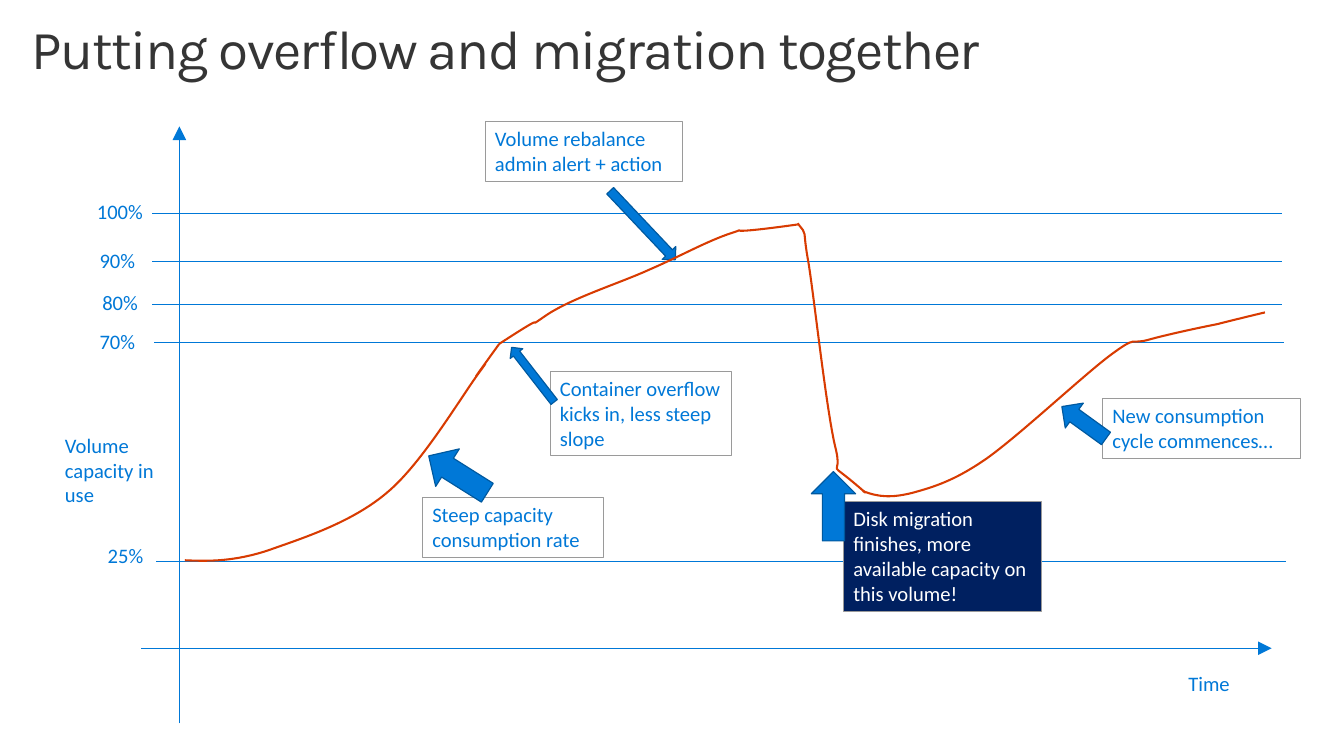
"""Build a slide showing volume capacity over time with overflow and migration."""
import lxml.etree
import pptx
import pptx.dml.color
import pptx.enum.shapes
import pptx.enum.text
import pptx.oxml.ns
import pptx.util

Cm, Pt = pptx.util.Cm, pptx.util.Pt
RGB = pptx.dml.color.RGBColor.from_string
SHAPE = pptx.enum.shapes.MSO_SHAPE
FIT = pptx.enum.text.MSO_AUTO_SIZE
qn = pptx.oxml.ns.qn

THEME = {
    "title": {"name": "Karla", "size": Pt(40), "color": "353535"},
    "body": {"name": "Calibri", "size": Pt(15), "color": "0078D7"},
    "inverse": {"name": "Calibri", "size": Pt(15), "color": "FFFFFF"},
    "axis": ("0078D7", 0.75),
    "box": ("9A9A9A", 0.75),
    "arrow": ("00599F", 0.85),
    "curve": ("D83B01", 1.5),
    "arrow_fill": "0078D7",
    "dark_fill": "002060",
}

TITLE = ("Putting overflow and migration together", (0.41, 0.32, 33.02, 2.54))
AXIS_NAMES = [
    ("Volume capacity in use", (1.42, 11, 3.05, 2.18)),
    ("Time", (30.29, 17.12, 2.16, 0.89)),
]
AXES = [((4.61, 18.59), (4.61, 3.25)), ((3.63, 16.66), (32.68, 16.66))]

LEVEL_LENGTH = 29.04
LEVELS = [
    ("100%", (2.24, 4.98, 1.7, 0.89), (3.91, 5.49)),
    ("90%", (2.31, 6.25, 1.45, 0.89), (3.91, 6.73)),
    ("80%", (2.38, 7.33, 1.45, 0.89), (3.91, 7.82)),
    ("70%", (2.31, 8.33, 1.45, 0.89), (3.96, 8.8)),
    ("25%", (2.52, 13.82, 1.45, 0.89), (4.01, 14.43)),
]

CALLOUTS = [
    ("Steep capacity consumption rate", (10.86, 12.78, 4.65, 1.54), None,
     (11.2, 11.3, 1.14, 1.78), 122.2),
    ("Container overflow kicks in, less steep slope", (14.14, 9.54, 4.65, 2.18), None,
     (13.49, 8.74, 0.41, 1.78), 142.1),
    ("Volume rebalance admin alert + action", (12.47, 3.12, 5.08, 1.54), None,
     (16.28, 4.57, 0.48, 2.44), 316.6),
    ("New consumption cycle commences…", (28.34, 10.24, 5.08, 1.54), None,
     (27.46, 10.16, 0.79, 1.4), 125.9),
    ("Disk migration finishes, more available capacity on this volume!",
     (21.68, 12.89, 5.08, 2.82), THEME["dark_fill"], (20.85, 12.12, 1.14, 1.78), 180),
]

FILLING = [
    (4.75, 14.4), (5.38, 14.43), (6.02, 14.43), (6.88, 14.15),
    (7.75, 13.84), (9.04, 13.44), (9.96, 12.65),
    (10.87, 11.89), (11.89, 10.13), (12.37, 9.5),
    (12.83, 8.86), (11.53, 10.64), (12.83, 8.84)]
OVERFLOW = [
    (12.83, 8.84), (14.35, 7.85), (13.34, 8.59), (14, 8.13),
    (14.66, 7.67), (15.9, 7.29), (16.69, 6.93),
    (17.5, 6.58), (18.16, 6.2), (18.8, 5.99),
    (19.43, 5.79), (18.14, 6.1), (20.5, 5.77)]
MIGRATION = [
    (20.5, 5.74), (20.78, 6.1), (20.6, 5.79), (20.78, 6.76),
    (20.93, 7.7), (21.23, 10.46), (21.46, 11.46),
    (21.72, 12.45), (21.06, 11.63), (22.25, 12.67)]
NEW_CYCLE = [
    (22.17, 12.62), (22.58, 12.78), (22.91, 12.8), (23.44, 12.67),
    (23.98, 12.52), (24.51, 12.37), (25.35, 11.79),
    (26.21, 11.18), (27.86, 9.63), (28.55, 9.12),
    (29.24, 8.61), (29.03, 8.86), (29.49, 8.74),
    (29.95, 8.61), (30.78, 8.43), (31.29, 8.33),
    (31.8, 8.2), (32.51, 8.03), (32.51, 8.03)]
CURVES = [FILLING, OVERFLOW, MIGRATION, NEW_CYCLE]


def cms(values):
    return [Cm(v) for v in values]


def set_line(sp, style):
    color, width = style
    sp.line.color.rgb = RGB(color)
    sp.line.width = Pt(width)


def set_fill(sp, color):
    if color:
        sp.fill.solid()
        sp.fill.fore_color.rgb = RGB(color)
    else:
        sp.fill.background()


def write(sp, text, style, wrap=True, fit=FIT.SHAPE_TO_FIT_TEXT):
    tf = sp.text_frame
    frame = {"word_wrap": wrap, "auto_size": fit,
             "vertical_anchor": pptx.enum.text.MSO_ANCHOR.TOP}
    for name, value in frame.items():
        setattr(tf, name, value)
    p = tf.paragraphs[0]
    p.alignment = pptx.enum.text.PP_ALIGN.LEFT
    r = p.add_run()
    r.text = text
    for name in ("name", "size"):
        setattr(r.font, name, style[name])
    r.font.color.rgb = RGB(style["color"])
    return p, r


def add_label(shapes, text, box, wrap=True):
    write(shapes.add_textbox(*cms(box)), text, THEME["body"], wrap)


def add_title(shapes):
    text, box = TITLE
    sp = shapes.add_textbox(*cms(box))
    p, r = write(sp, text, THEME["title"], fit=FIT.NONE)
    p.line_spacing = 0.9
    r.font._element.set("spc", "-105")
    margins = {"margin_left": 0.41, "margin_right": 0.41,
               "margin_top": 0.25, "margin_bottom": 0.25}
    for name, value in margins.items():
        setattr(sp.text_frame, name, Cm(value))


def add_rule(shapes, start, end, arrow=False):
    sp = shapes.add_connector(pptx.enum.shapes.MSO_CONNECTOR.STRAIGHT, *cms(start + end))
    set_line(sp, THEME["axis"])
    if arrow:
        lxml.etree.SubElement(sp.line._get_or_add_ln(), qn("a:tailEnd"),
                              type="triangle", w="lg", len="lg")
    lxml.etree.SubElement(sp._element.spPr, qn("a:effectLst"))


def add_block(shapes, kind, box, fill, line):
    sp = shapes.add_shape(kind, *cms(box))
    sp.shadow.inherit = False
    set_fill(sp, fill)
    set_line(sp, line)
    return sp


def add_callout(shapes, text, box, fill, arrow_box, rotation):
    sp = add_block(shapes, SHAPE.RECTANGLE, box, fill, THEME["box"])
    write(sp, text, THEME["inverse" if fill else "body"])
    arrow = add_block(shapes, SHAPE.DOWN_ARROW, arrow_box, THEME["arrow_fill"], THEME["arrow"])
    arrow.rotation = rotation


def add_curve(shapes, points):
    builder = shapes.build_freeform(*cms(points[0]))
    builder.add_line_segments([cms(point) for point in points[3::3]], close=False)
    sp = builder.convert_to_shape()
    sp.shadow.inherit = False
    set_fill(sp, None)
    set_line(sp, THEME["curve"])
    segments = list(sp._element.iter(qn("a:lnTo")))
    for i, segment in enumerate(segments):
        bend = lxml.etree.Element(qn("a:cubicBezTo"))
        for x, y in points[3 * i + 1:3 * i + 4]:
            lxml.etree.SubElement(bend, qn("a:pt"), x=str(Cm(x) - sp.left), y=str(Cm(y) - sp.top))
        segment.getparent().replace(segment, bend)


def main():
    prs = pptx.Presentation()
    prs.slide_width, prs.slide_height = cms((34.54, 19.43))
    shapes = prs.slides.add_slide(prs.slide_layouts[6]).shapes
    add_title(shapes)
    for start, end in AXES:
        add_rule(shapes, start, end, arrow=True)
    for text, box in AXIS_NAMES:
        add_label(shapes, text, box)
    for text, box, (left, y) in LEVELS:
        add_label(shapes, text, box, wrap=False)
        add_rule(shapes, (left, y), (left + LEVEL_LENGTH, y))
    for callout in CALLOUTS:
        add_callout(shapes, *callout)
    for points in CURVES:
        add_curve(shapes, points)
    prs.save("out.pptx")


if __name__ == "__main__":
    main()
